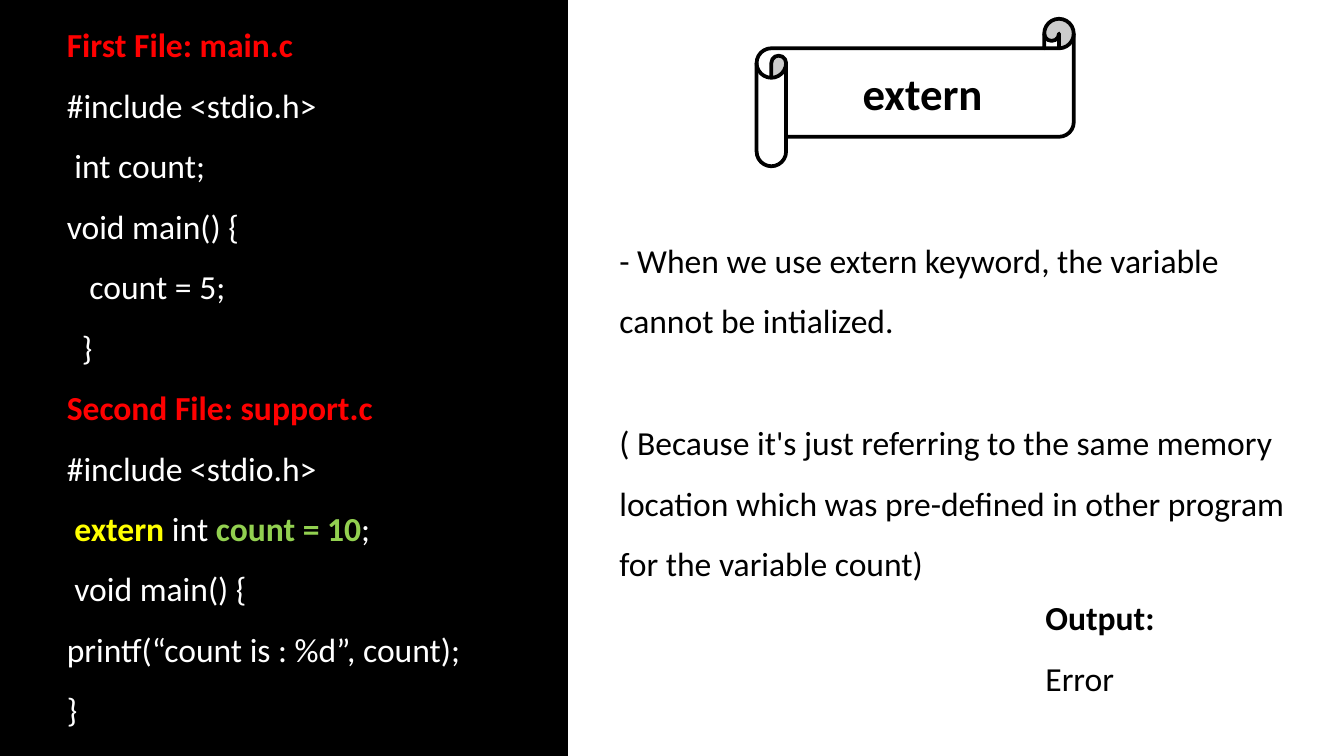
from pptx import Presentation
from pptx.dml.color import RGBColor
from pptx.enum.shapes import MSO_SHAPE as Shape
from pptx.enum.text import MSO_ANCHOR as Anchor, MSO_AUTO_SIZE as AutoSize, PP_ALIGN as Align
from pptx.util import Inches, Pt

WIDTH = 10
HEIGHT = WIDTH * 9 / 16
FONT = "Calibri"
BODY_SIZE = 18
LINE_SPACING = 1.5
BLANK_LINE = 33  # points: one body line at the line spacing above

BLACK = RGBColor(0x00, 0x00, 0x00)
WHITE = RGBColor(0xFF, 0xFF, 0xFF)
RED = RGBColor(0xFF, 0x00, 0x00)
YELLOW = RGBColor(0xFF, 0xFF, 0x00)
GREEN = RGBColor(0x92, 0xD0, 0x50)

# Left, top, width and height in percent of the slide's size
PANEL = (0, 0, 42.1, 100)
SCROLL = (56.3, 2.5, 23.6, 19.5)
CODE = (39.9 / 10, -0.35, 34.6, 98.7)
EXPLANATION = (45.1, 28.15, 52.1, 50.3)
OUTPUT = (76.8, 75.45, 15, 18)

FIRST_FILE = [
    "#include <stdio.h>",
    " int count;",
    "void main() {",
    "   count = 5;",
    "  }",
]
SECOND_FILE = [
    "#include <stdio.h>",
    [(" ", {}), ("extern ", {"color": YELLOW, "bold": True}), ("int ", {}),
     ("count = 10", {"color": GREEN, "bold": True}), (";", {})],
    " void main() {",
    "printf(“count is : %d”, count);",
    "}",
]


def add_run(paragraph, text, size=BODY_SIZE, color=BLACK, bold=False):
    run = paragraph.add_run()
    run.text = text
    font = run.font
    font.name, font.size, font.bold = FONT, Pt(size), bold
    font.color.rgb = color


def box(left, top, width, height):
    """Turn percentages of the slide's size into lengths."""
    return (Inches(left * WIDTH / 100), Inches(top * HEIGHT / 100),
            Inches(width * WIDTH / 100), Inches(height * HEIGHT / 100))


def add_outlined_shape(slide, kind, place, fill):
    shape = slide.shapes.add_shape(kind, *box(*place))
    shape.shadow.inherit = False
    shape.fill.solid()
    shape.fill.fore_color.rgb = fill
    shape.line.color.rgb = BLACK
    shape.line.width = Pt(2)
    return shape


def add_text(slide, place, lines, color=BLACK, gap=0):
    """Add one paragraph per line; a line is a string or (text, format) pairs."""
    frame = slide.shapes.add_textbox(*box(*place)).text_frame
    frame.word_wrap = True
    frame.auto_size = AutoSize.SHAPE_TO_FIT_TEXT
    for index, line in enumerate(lines):
        paragraph = frame.add_paragraph() if index else frame.paragraphs[0]
        paragraph.line_spacing = LINE_SPACING
        if index and gap:
            paragraph.space_before = Pt(gap)
        pieces = [(line, {})] if isinstance(line, str) else line
        for text, text_format in pieces:
            add_run(paragraph, text, **{"color": color, **text_format})


def add_scroll(slide, place, text):
    scroll = add_outlined_shape(slide, Shape.HORIZONTAL_SCROLL, place, WHITE)
    scroll.adjustments[0] = 0.2
    frame = scroll.text_frame
    frame.vertical_anchor = Anchor.MIDDLE
    paragraph = frame.paragraphs[0]
    paragraph.alignment = Align.CENTER
    add_run(paragraph, text, size=24, bold=True)


def heading(text, color):
    return [(text, {"color": color, "bold": True})]


def main():
    presentation = Presentation()
    presentation.slide_width = Inches(WIDTH)
    presentation.slide_height = Inches(HEIGHT)
    slide = presentation.slides.add_slide(presentation.slide_layouts[6])

    add_outlined_shape(slide, Shape.RECTANGLE, PANEL, BLACK)
    add_scroll(slide, SCROLL, "extern")

    code = [heading("First File: main.c", RED), *FIRST_FILE,
            heading("Second File: support.c", RED), *SECOND_FILE]
    add_text(slide, CODE, code, color=WHITE)

    add_text(slide, EXPLANATION, [
        "- When we use extern keyword, the variable cannot be intialized.",
        "( Because it's just referring to the same memory location which was "
        "pre-defined in other program for the variable count)",
    ], gap=BLANK_LINE)
    add_text(slide, OUTPUT, [heading("Output:", BLACK), "Error"])

    presentation.save("out.pptx")


if __name__ == "__main__":
    main()
